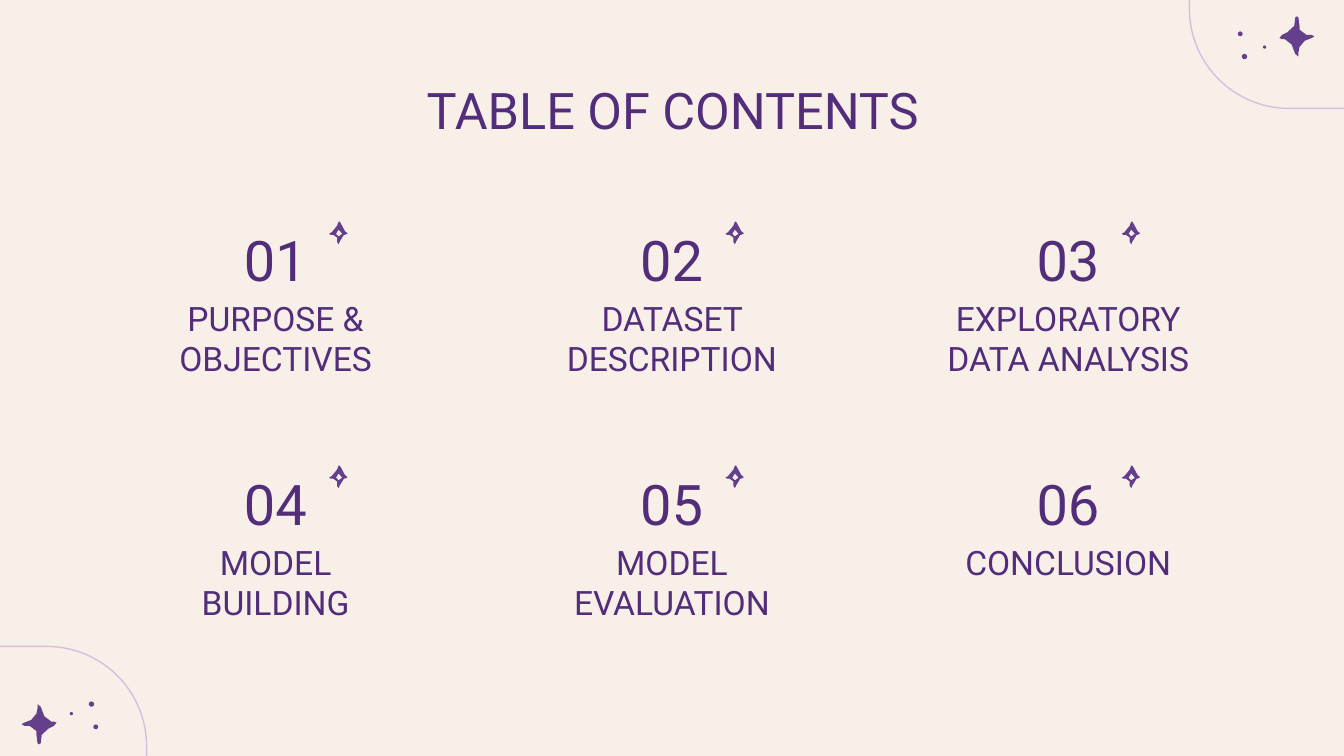
"""Build the table of contents slide."""
from dataclasses import dataclass

from pptx import Presentation
from pptx.dml.color import RGBColor
from pptx.enum.shapes import MSO_SHAPE
from pptx.enum.text import MSO_ANCHOR, PP_ALIGN
from pptx.shapes.autoshape import Shape
from pptx.slide import Slide
from pptx.util import Cm, Pt

ROUNDED = MSO_SHAPE.ROUNDED_RECTANGLE
OVAL = MSO_SHAPE.OVAL
CENTER = PP_ALIGN.CENTER
TOP = MSO_ANCHOR.TOP
BOTTOM = MSO_ANCHOR.BOTTOM

CREAM = RGBColor(0xF8, 0xEF, 0xE9)
LILAC = RGBColor(0xD6, 0xBE, 0xDD)
VIOLET = RGBColor(0x63, 0x3F, 0x8C)
PURPLE = RGBColor(0x51, 0x2D, 0x7A)
FONT = "Roboto"

COLUMNS = 3
COLUMN_PITCH = 7.49
ROW_PITCH = 4.61

Points = list[tuple[int, int]]

STAR: Points = [
    (-3, -38), (-3, -30), (-5, -20), (-15, -8), (-28, -3), (-33, 0), (-28, 3),
    (-18, 3), (-5, 13), (-5, 20), (-3, 36), (0, 38), (3, 36), (5, 20),
    (18, 8), (28, 3), (33, -3), (28, -5), (23, -5), (10, -15), (3, -33),
]
SPARKLE: Points = [
    (18, 0), (15, 8), (5, 20), (0, 23), (3, 25), (8, 25), (15, 30), (15, 38),
    (18, 43), (20, 38), (28, 25), (30, 25), (35, 22), (30, 18), (23, 5), (20, 0),
]
SPARKLE_HOLE: Points = [(18, 15), (25, 23), (18, 28), (13, 23)]


@dataclass(frozen=True)
class Dot:
    """A dot placed from the centre of its star, in centimetres."""

    x: float
    y: float
    size: float


@dataclass(frozen=True)
class Corner:
    """A corner ornament; direction -1 turns it by half a turn."""

    frame_left: float
    frame_top: float
    star_x: float
    star_y: float
    direction: int


DOTS = [Dot(0.99, -0.38, 0.1), Dot(1.07, 0.05, 0.09), Dot(0.61, -0.2, 0.06)]
CORNERS = [
    Corner(-4.14, 12.22, 0.74, 13.69, 1),
    Corner(22.48, -1.96, 24.51, 0.69, -1),
]
SECTIONS = [
    ["PURPOSE &", "OBJECTIVES"],
    ["DATASET DESCRIPTION"],
    ["EXPLORATORY", "DATA ANALYSIS"],
    ["MODEL BUILDING"],
    ["MODEL EVALUATION"],
    ["CONCLUSION"],
]


def add_text(
    slide: Slide, lines: list[str], *, left: float, top: float, width: float,
    height: float, size: int, anchor: MSO_ANCHOR = TOP,
) -> None:
    """Add a centred text box with one paragraph per line."""
    box = slide.shapes.add_textbox(Cm(left), Cm(top), Cm(width), Cm(height))
    frame = box.text_frame
    frame.word_wrap = True
    frame.vertical_anchor = anchor
    frame.margin_left = frame.margin_right = Cm(0.25)
    frame.margin_top = frame.margin_bottom = Cm(0.25)
    frame.text = "\n".join(lines)
    for paragraph in frame.paragraphs:
        paragraph.alignment = CENTER
        paragraph.font.name = FONT
        paragraph.font.size = Pt(size)
        paragraph.font.color.rgb = PURPLE


def paint(shape: Shape) -> None:
    """Give a shape a plain violet fill."""
    shape.shadow.inherit = False
    shape.fill.solid()
    shape.fill.fore_color.rgb = VIOLET
    shape.line.fill.background()


def add_outline(slide: Slide, contours: list[Points], left: float, top: float) -> None:
    """Draw closed contours given in hundredths of a centimetre."""
    first, *others = contours
    builder = slide.shapes.build_freeform(*first[0], scale=Cm(0.01))
    builder.add_line_segments(first[1:], close=True)
    for contour in others:
        builder.move_to(*contour[0])
        builder.add_line_segments(contour[1:], close=True)
    paint(builder.convert_to_shape(Cm(left), Cm(top)))


def add_corner(slide: Slide, corner: Corner) -> None:
    """Draw the rounded frame, the star and the dots of one corner."""
    frame = slide.shapes.add_shape(
        ROUNDED, Cm(corner.frame_left), Cm(corner.frame_top), Cm(6.91), Cm(4.01)
    )
    frame.adjustments[0] = 0.47
    frame.shadow.inherit = False
    frame.fill.background()
    frame.line.color.rgb = LILAC
    frame.line.width = Pt(0.75)
    turn = corner.direction
    star = [(turn * x, turn * y) for x, y in STAR]
    add_outline(slide, [star], corner.star_x, corner.star_y)
    for dot in DOTS:
        left = corner.star_x + turn * dot.x - dot.size / 2
        top = corner.star_y + turn * dot.y - dot.size / 2
        paint(slide.shapes.add_shape(OVAL, Cm(left), Cm(top), Cm(dot.size), Cm(dot.size)))


def add_section(slide: Slide, index: int, lines: list[str]) -> None:
    """Draw one numbered section in its grid cell."""
    row, column = divmod(index, COLUMNS)
    x = column * COLUMN_PITCH
    y = row * ROW_PITCH
    add_text(slide, [f"{index + 1:02}"], left=4.19 + x, top=4.19 + y,
             width=2.03, height=1.6, size=30, anchor=BOTTOM)
    add_text(slide, lines, left=2.49 + x, top=5.38 + y,
             width=5.44, height=2.06, size=18)
    add_outline(slide, [SPARKLE, SPARKLE_HOLE], 6.22 + x, 4.19 + y)


def main() -> None:
    """Build and save the presentation."""
    presentation = Presentation()
    presentation.slide_width = Cm(25.4)
    presentation.slide_height = Cm(14.29)
    slide = presentation.slides.add_slide(presentation.slide_layouts[6])
    slide.background.fill.solid()
    slide.background.fill.fore_color.rgb = CREAM
    for corner in CORNERS:
        add_corner(slide, corner)
    add_text(slide, ["TABLE OF CONTENTS"], left=2.01, top=1.24,
             width=21.41, height=1.6, size=27)
    for index, lines in enumerate(SECTIONS):
        add_section(slide, index, lines)
    presentation.save("out.pptx")


if __name__ == "__main__":
    main()
